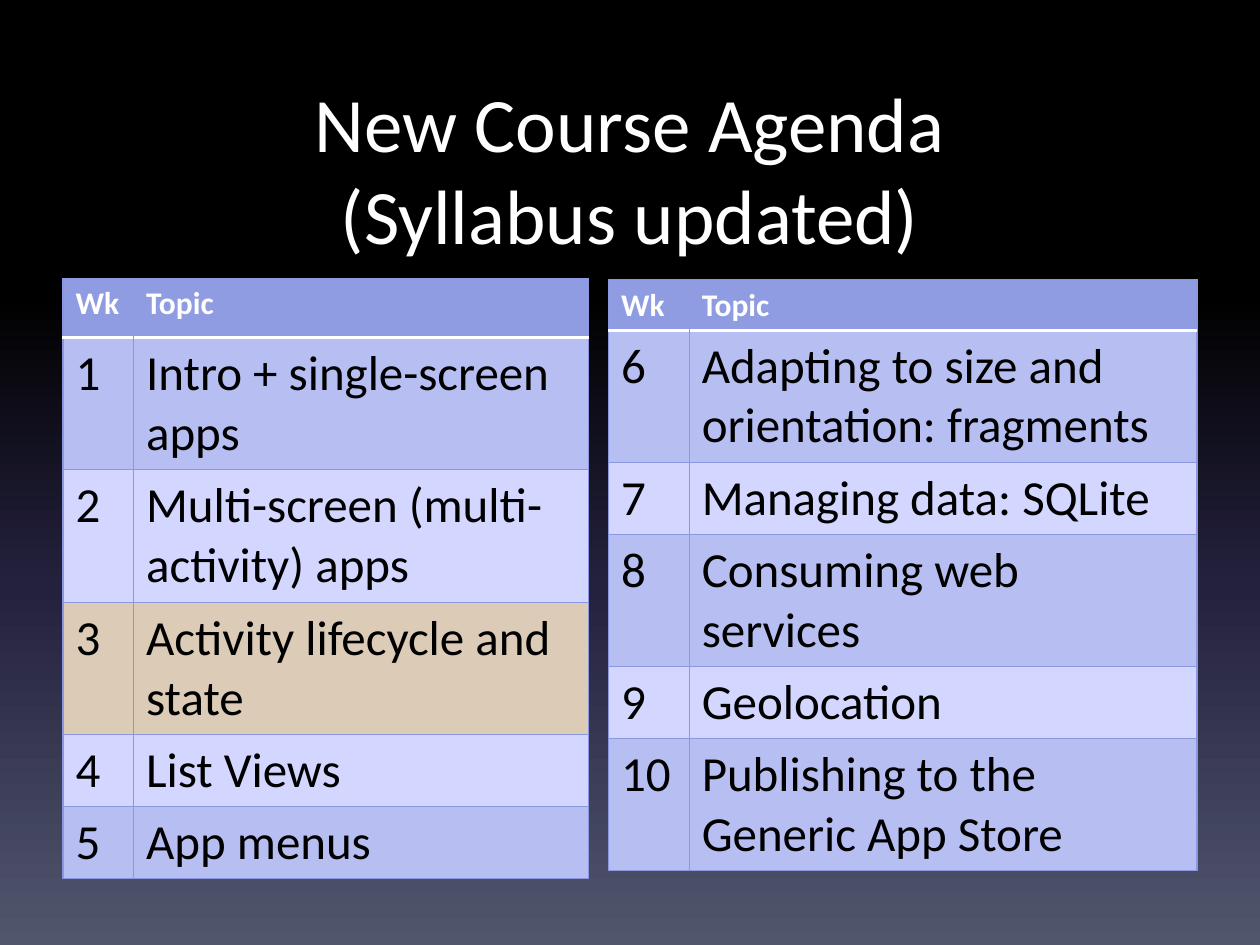
import pptx
import pptx.dml.color
import pptx.enum.text
import pptx.oxml
import pptx.oxml.ns
import pptx.util

RGBColor = pptx.dml.color.RGBColor
WHITE = RGBColor(0xFF, 0xFF, 0xFF)
BLACK = RGBColor(0x00, 0x00, 0x00)
HEADER = RGBColor(0x90, 0x9C, 0xE1)
BAND = RGBColor(0xB7, 0xBF, 0xF2)
PLAIN = RGBColor(0xD3, 0xD6, 0xFF)
CURRENT = RGBColor(0xDB, 0xCB, 0xB7)
RULE = RGBColor(0x8B, 0x97, 0xDE)
INDIGO = RGBColor(0x24, 0x21, 0x3E)
SLATE = RGBColor(0x51, 0x56, 0x6D)

BACKGROUND = [(0, BLACK), (31, BLACK), (62, INDIGO), (100, SLATE)]
TITLE_FONT = {"name": "Calibri", "size": pptx.util.Pt(44)}
HEADER_FONT = {"name": "Calibri", "size": pptx.util.Pt(18), "bold": True}
BODY_FONT = {"name": "Calibri", "size": pptx.util.Pt(28), "bold": False}

WIDTH, HEIGHT = 10, 7.5
MARGIN = 0.05 * WIDTH
ONE_LINE, TWO_LINES = 0.57, 1.05
CURRENT_WEEK = 3

FIRST_HALF = [
    ("Intro + single-screen apps", TWO_LINES),
    ("Multi-screen (multi-activity) apps", TWO_LINES),
    ("Activity lifecycle and state", TWO_LINES),
    ("List Views", ONE_LINE),
    ("App menus", ONE_LINE),
]
SECOND_HALF = [
    ("Adapting to size and orientation: fragments", TWO_LINES),
    ("Managing data: SQLite", ONE_LINE),
    ("Consuming web services", TWO_LINES),
    ("Geolocation", ONE_LINE),
    ("Publishing to the Generic App Store", TWO_LINES),
]


def parse_drawing(tag, attributes, content):
    namespace = pptx.oxml.ns.nsdecls("a")
    return pptx.oxml.parse_xml(
        f"<a:{tag} {namespace} {attributes}>{content}</a:{tag}>"
    )


def paint_background(page):
    fill = page.background.fill
    fill.gradient()
    fill.gradient_angle = 270
    stops = "".join(
        f'<a:gs pos="{share * 1000}"><a:srgbClr val="{color}"/></a:gs>'
        for share, color in BACKGROUND
    )
    background = page.background._cSld.bg
    old_stops = background.find(".//" + pptx.oxml.ns.qn("a:gsLst"))
    old_stops.getparent().replace(old_stops, parse_drawing("gsLst", "", stops))


def write_text(frame, text, font_format, color):
    para = frame.paragraphs[0]
    para.text = text
    for span in para.runs:
        for name, value in font_format.items():
            setattr(span.font, name, value)
        span.font.color.rgb = color
    return para


def add_title(page, text):
    box = page.shapes.add_textbox(
        pptx.util.Inches(MARGIN),
        pptx.util.Inches(MARGIN),
        pptx.util.Inches(WIDTH - 2 * MARGIN),
        pptx.util.Inches(HEIGHT / 6),
    )
    frame_format = {
        "word_wrap": True,
        "vertical_anchor": pptx.enum.text.MSO_ANCHOR.TOP,
        "margin_top": pptx.util.Inches(0.1),
    }
    for name, value in frame_format.items():
        setattr(box.text_frame, name, value)
    para = write_text(box.text_frame, text, TITLE_FONT, WHITE)
    para.alignment = pptx.enum.text.PP_ALIGN.CENTER


def add_borders(cell, edges):
    properties = cell._tc.get_or_add_tcPr()
    for side in "LRTB":
        if side in edges:
            color, points = edges[side]
            content = f'<a:solidFill><a:srgbClr val="{color}"/></a:solidFill>'
            width = f'w="{pptx.util.Pt(points)}"'
        else:
            content, width = "<a:noFill/>", ""
        properties.append(parse_drawing("ln" + side, width, content))


def cell_edges(row, column):
    edges = dict.fromkeys("LRTB", (RULE, 0.75))
    if row == 0:
        edges["B"] = (WHITE, 2)
        del edges["R" if column == 0 else "L"]
    elif row == 1:
        edges["T"] = (WHITE, 2)
    return edges


def row_fill(row, week):
    if row == 0:
        return HEADER
    if week == CURRENT_WEEK:
        return CURRENT
    return BAND if row % 2 else PLAIN


def add_agenda(page, left, top, columns, header_height, first_week, topics):
    rows = [("Wk", "Topic", header_height)]
    rows += [
        (str(week), topic, height)
        for week, (topic, height) in enumerate(topics, first_week)
    ]
    table = page.shapes.add_table(
        len(rows),
        len(columns),
        pptx.util.Inches(left),
        pptx.util.Inches(top),
        pptx.util.Inches(sum(columns)),
        pptx.util.Inches(sum(height for _, _, height in rows)),
    ).table
    table.horz_banding = False
    for column, width in enumerate(columns):
        table.columns[column].width = pptx.util.Inches(width)
    for row, (week, topic, height) in enumerate(rows):
        table.rows[row].height = pptx.util.Inches(height)
        font_format, color = (BODY_FONT, BLACK) if row else (HEADER_FONT, WHITE)
        for column, text in enumerate((week, topic)):
            cell = table.cell(row, column)
            write_text(cell.text_frame, text, font_format, color)
            add_borders(cell, cell_edges(row, column))
            cell.fill.solid()
            cell.fill.fore_color.rgb = row_fill(row, first_week + row - 1)


def main():
    deck = pptx.Presentation()
    deck.slide_width = pptx.util.Inches(WIDTH)
    deck.slide_height = pptx.util.Inches(HEIGHT)
    page = deck.slides.add_slide(deck.slide_layouts[6])
    paint_background(page)
    add_title(page, "New Course Agenda\v(Syllabus updated)")
    add_agenda(page, MARGIN, 2.21, (0.56, 3.61), 0.47, 1, FIRST_HALF)
    add_agenda(page, 4.83, 2.22, (0.64, 4.03), 0.4, 6, SECOND_HALF)
    deck.save("out.pptx")


if __name__ == "__main__":
    main()
